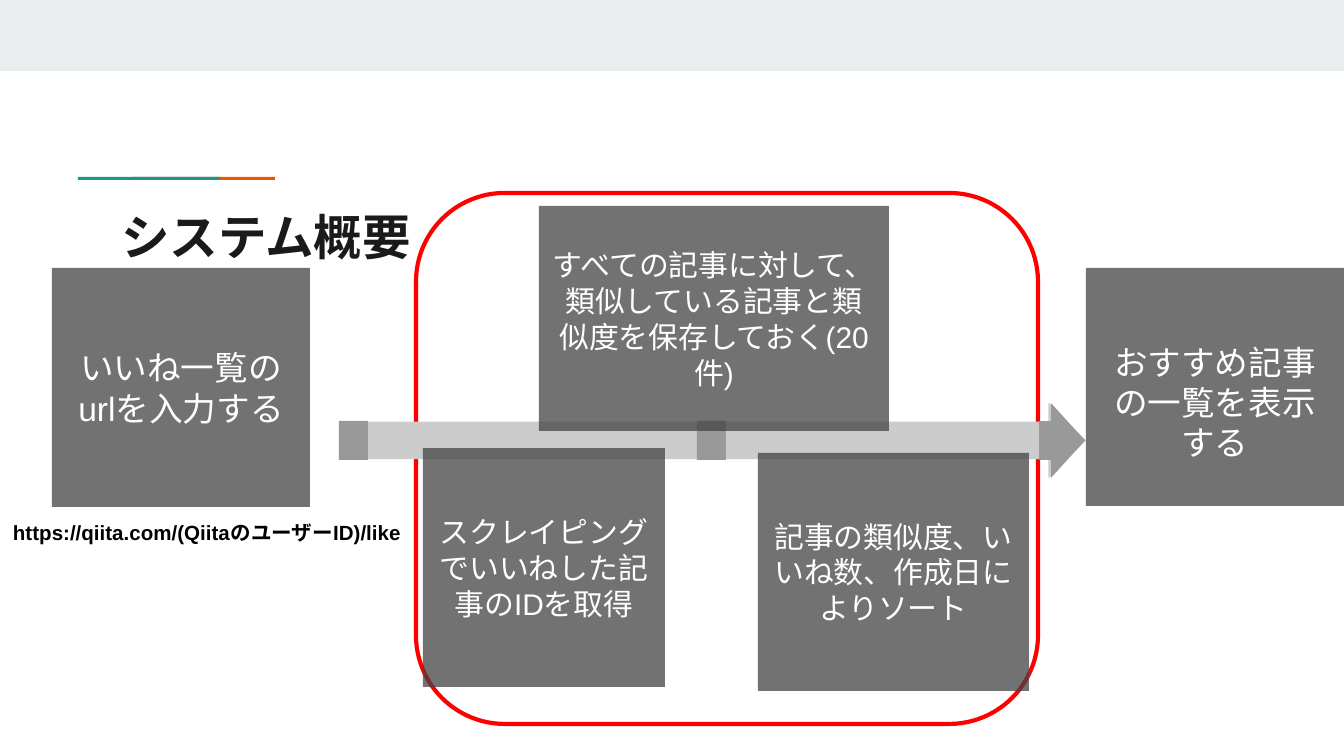
import pptx
import pptx.util
import pptx.dml.color
import pptx.enum.shapes
import pptx.enum.text
import pptx.oxml
import pptx.oxml.ns

SCALE = 914400 / 134.4  # EMU per px
KIND = pptx.enum.shapes.MSO_SHAPE
ALIGN = pptx.enum.text.PP_ALIGN
ANCHOR = pptx.enum.text.MSO_ANCHOR


def px(n):
    return pptx.util.Emu(round(n * SCALE))


def color(code):
    return pptx.dml.color.RGBColor.from_string(code)


def place(shape, box):
    shape.left, shape.top, shape.width, shape.height = map(px, box)


def add_part(slide, kind, box, fill=None, alpha=None, adj=()):
    """Add a preset shape without an outline."""
    shape = slide.shapes.add_shape(kind, *map(px, box))
    shape.shadow.inherit = False
    shape.line.fill.background()
    for i, value in enumerate(adj):
        shape.adjustments[i] = value
    if fill is None:
        shape.fill.background()
        return shape
    shape.fill.solid()
    shape.fill.fore_color.rgb = color(fill)
    if alpha:
        tint = shape.fill._xPr.find(".//" + pptx.oxml.ns.qn("a:srgbClr"))
        node = pptx.oxml.parse_xml(
            f'<a:alpha {pptx.oxml.ns.nsdecls("a")} val="{alpha * 1000}"/>')
        tint.append(node)
    return shape


def set_text(shape, text, size, ink, font="Arial", bold=False,
             align=ALIGN.LEFT, anchor=ANCHOR.TOP, pad=(13, 13)):
    """Fill a shape with text; pad is the top and bottom inset."""
    frame = shape.text_frame
    frame.text = text
    frame.word_wrap = True
    frame.auto_size = pptx.enum.text.MSO_AUTO_SIZE.NONE
    frame.vertical_anchor = anchor
    frame.margin_left = frame.margin_right = px(13)
    frame.margin_top, frame.margin_bottom = map(px, pad)
    for para in frame.paragraphs:
        para.alignment = align
        for run in para.runs:
            run.font.name = font
            run.font.size = pptx.util.Pt(size)
            run.font.bold = bold
            run.font.color.rgb = color(ink)


def add_head(slide, box):
    """Top band, accent rule and title."""
    left, top, width, height = box
    add_part(slide, KIND.RECTANGLE, (left, top, width, 71), "E9EDEE")
    for x, fill in ((133, "EB5600"), (78, "1A9988")):
        add_part(slide, KIND.RECTANGLE, (left + x, top + 177, 142, 3), fill)
    title = slide.shapes.title
    place(title, (left + 108, top + 194, 1130, height - 194))
    set_text(title, "システム概要", 26, "1A1A1A", "Manrope", True)


def add_step(slide, box, text, size, top=7):
    """One translucent step of the flow."""
    step = add_part(slide, KIND.RECTANGLE, box, "424242", 74)
    set_text(step, text, size, "FFFFFF", align=ALIGN.CENTER,
             anchor=ANCHOR.MIDDLE, pad=(top, 7))


def add_flow(slide, box):
    """Arrow with its marks, the framed inner steps and both ends."""
    left, top, width, height = box

    def at(x, y, w, h):
        return left + x, top + y, w, h

    # Frame round the inner steps
    frame = add_part(slide, KIND.ROUNDED_RECTANGLE, at(416, 0, 622, 531),
                     adj=[0.167])
    frame.line.color.rgb = color("FF0000")
    frame.line.width = pptx.util.Pt(2.25)

    # Main arrow
    add_part(slide, KIND.RIGHT_ARROW, at(339, 210, 747, 75), "CCCCCC")

    # Steps under the marks
    add_step(slide, at(52, 75, 258, 239), "いいね一覧の\nurlを入力する", 18)
    add_step(slide, at(423, 255, 242, 239),
             "スクレイピングでいいねした記事のIDを取得", 16)
    add_step(slide, at(1086, 75, 258, 238),
             "おすすめ記事の一覧を表示する", 18, top=37)
    add_step(slide, at(758, 260, 271, 238),
             "記事の類似度、いいね数、作成日によりソート", 16)

    # Address below the first step
    note = slide.shapes.add_textbox(*map(px, at(0, 314, 414, 94)))
    set_text(note, "https://qiita.com/(QiitaのユーザーID)/like", 11,
             "000000", bold=True)

    # Marks on the arrow
    for x in (339, 697):
        add_part(slide, KIND.RECTANGLE, at(x, 228, 29, 39), "999999")
    add_part(slide, KIND.RIGHT_ARROW, at(1039, 210, 46, 75), "999999",
             adj=[0.518, 0.74])

    # Step over the marks
    add_step(slide, at(539, 13, 350, 225),
             "すべての記事に対して、類似している記事と類似度を保存しておく(20件)", 16)


def main():
    deck = pptx.Presentation()
    deck.slide_width, deck.slide_height = px(1344), px(756)
    slide = deck.slides.add_slide(deck.slide_layouts[5])
    add_head(slide, (0, 0, 1344, 273))
    add_flow(slide, (0, 193, 1344, 531))
    deck.save("out.pptx")


if __name__ == "__main__":
    main()
